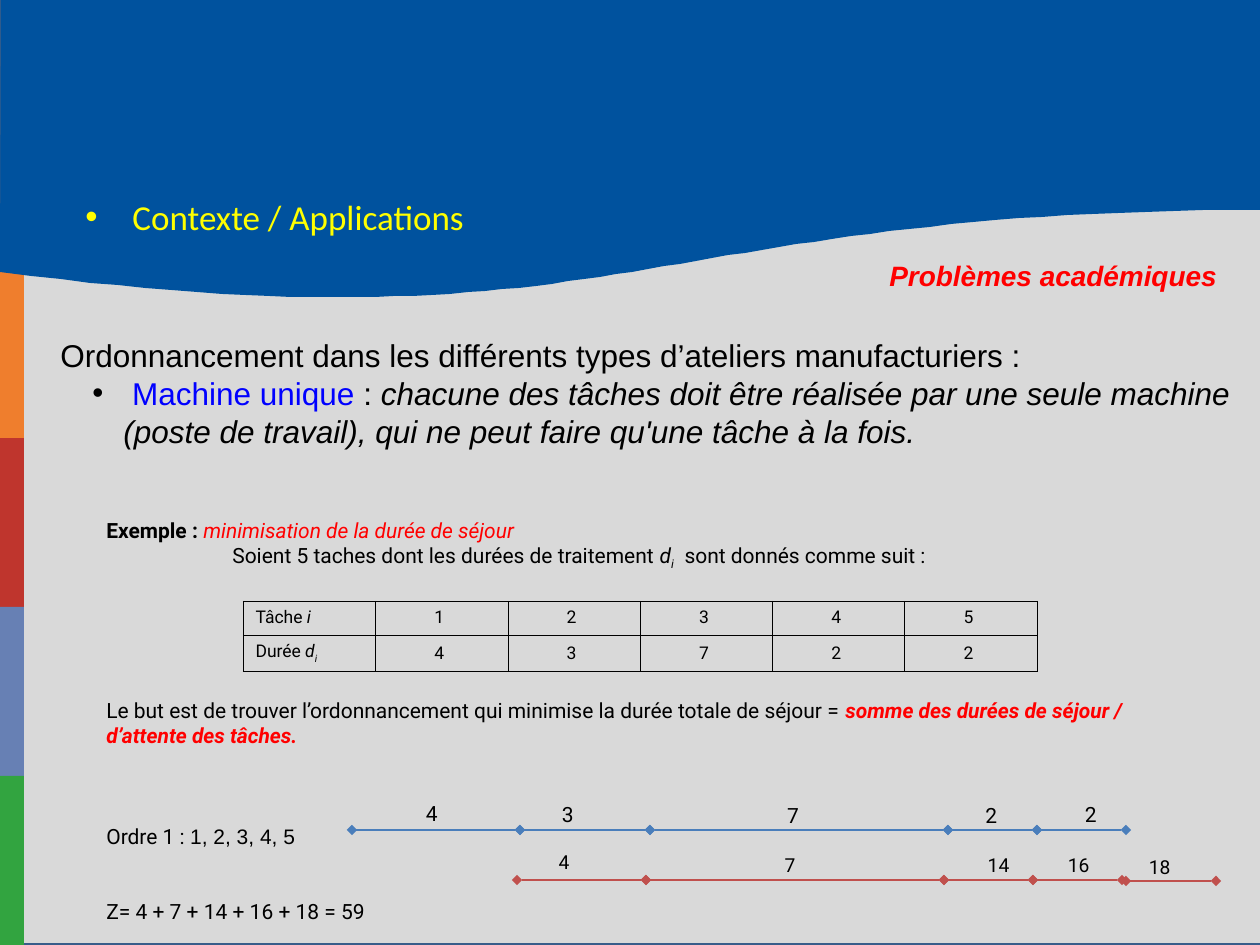
from lxml import etree
from pptx import Presentation
from pptx.dml.color import RGBColor
from pptx.enum.shapes import MSO_CONNECTOR, MSO_SHAPE
from pptx.enum.text import MSO_ANCHOR, PP_ALIGN
from pptx.oxml.ns import qn
from pptx.util import Emu, Pt

PX = 914400 / 126
RECT = MSO_SHAPE.RECTANGLE
STRAIGHT = MSO_CONNECTOR.STRAIGHT
LEFT, CENTER = PP_ALIGN.LEFT, PP_ALIGN.CENTER
MIDDLE = MSO_ANCHOR.MIDDLE

COLORS = {
    "grey": "D9D9D9", "frame": "385D8A", "navy": "00529E",
    "orange": "EF7E2D", "brick": "BF352D", "slate": "6780B4", "green": "32A440",
    "black": "000000", "yellow": "FFFF00", "red": "FF0000", "blue": "0000FF",
    "order": "4A7EBB", "stay": "C0504D",
}


def px(n):
    return Emu(round(n * PX))


def rgb(name):
    return RGBColor.from_string(COLORS[name])


def cubic(p0, p1, p2, p3, steps=60):
    """Points along a cubic Bezier curve, without its start."""
    points = []
    for k in range(1, steps + 1):
        t = k / steps
        u = 1 - t
        points.append(tuple(
            u**3 * a + 3 * u * u * t * b + 3 * u * t * t * c + t**3 * d
            for a, b, c, d in zip(p0, p1, p2, p3)))
    return points


class Deck:
    def __init__(self, slide, font="Roboto", size=12):
        self.slide, self.font, self.size = slide, font, size

    def finish(self, sp, fill, line=None):
        sp.shadow.inherit = False
        sp.fill.solid()
        sp.fill.fore_color.rgb = rgb(fill)
        if line:
            sp.line.color.rgb = rgb(line)
            sp.line.width = Pt(2)
        else:
            sp.line.fill.background()

    def rect(self, x, y, w, h, fill, line=None):
        sp = self.slide.shapes.add_shape(RECT, px(x), px(y), px(w), px(h))
        self.finish(sp, fill, line)

    def outline(self, points, fill):
        fb = self.slide.shapes.build_freeform(*points[0], scale=PX)
        fb.add_line_segments(points[1:], close=True)
        self.finish(fb.convert_to_shape(), fill)

    def runs(self, p, parts, size=None, font=None):
        """Add (text, style) parts; style keys: c, b, i, sub, font."""
        for text, style in parts:
            r = p.add_run()
            r.text = text
            f = r.font
            f.name = style.get("font", font or self.font)
            f.size = Pt(size or self.size)
            f.color.rgb = rgb(style.get("c", "black"))
            f.bold, f.italic = style.get("b", False), style.get("i", False)
            if style.get("sub"):
                f._element.set("baseline", "-25000")

    def indent(self, p, margin, hanging=0, bullet=None):
        pPr = p._p.get_or_add_pPr()
        pPr.set("marL", str(px(margin)))
        pPr.set("indent", str(px(-hanging)))
        if bullet:
            clr = etree.SubElement(pPr, qn("a:buClr"))
            etree.SubElement(clr, qn("a:srgbClr"), val=COLORS[bullet])
            etree.SubElement(pPr, qn("a:buFont"), typeface="Arial")
            etree.SubElement(pPr, qn("a:buChar"), char="•")

    def text(self, x, y, w, h, paragraphs, size=None, font=None, align=LEFT,
             spacing=None, before=0):
        """Each paragraph is (parts, indent arguments)."""
        tf = self.slide.shapes.add_textbox(px(x), px(y), px(w), px(h)).text_frame
        tf.word_wrap = True
        for k, (parts, indent) in enumerate(paragraphs):
            p = tf.add_paragraph() if k else tf.paragraphs[0]
            p.alignment = align
            p.space_before = Pt(before)
            if spacing:
                p.line_spacing = Pt(spacing)
            if indent:
                self.indent(p, *indent)
            self.runs(p, parts, size, font)

    def table(self, x, y, col_w, row_heights, rows, size):
        n = len(rows[0])
        tbl = self.slide.shapes.add_table(len(rows), n, px(x), px(y), px(n * col_w),
                                          px(sum(row_heights))).table
        tbl.first_row = tbl.horz_banding = False
        for col in tbl.columns:
            col.width = px(col_w)
        for row, h, cells in zip(tbl.rows, row_heights, rows):
            row.height = px(h)
            for k, (cell, parts) in enumerate(zip(row.cells, cells)):
                self.border(cell)
                cell.fill.background()
                cell.vertical_anchor = MIDDLE
                p = cell.text_frame.paragraphs[0]
                p.alignment = CENTER if k else LEFT
                self.runs(p, parts, size)

    def border(self, cell):
        tcPr = cell._tc.get_or_add_tcPr()
        for side in ("a:lnL", "a:lnR", "a:lnT", "a:lnB"):
            ln = etree.SubElement(tcPr, qn(side), w="1400")
            fill = etree.SubElement(ln, qn("a:solidFill"))
            etree.SubElement(fill, qn("a:srgbClr"), val=COLORS["black"])

    def segments(self, y, stops, color):
        """Diamond-ended lines between successive stops."""
        for x1, x2 in zip(stops, stops[1:]):
            cn = self.slide.shapes.add_connector(STRAIGHT, px(x1), px(y), px(x2), px(y))
            cn.line.color.rgb = rgb(color)
            cn.line.width = Pt(0.75)
            ln = cn.line._get_or_add_ln()
            for end in ("a:headEnd", "a:tailEnd"):
                etree.SubElement(ln, qn(end), type="diamond")
            etree.SubElement(cn._element.spPr, qn("a:effectLst"))

    def labels(self, items, size):
        for text, x, y, w in items:
            self.text(x, y, w, 37, [([(text + " ", {})], None)], size, align=CENTER)


def main():
    prs = Presentation()
    prs.slide_width, prs.slide_height = px(1260), px(945)
    d = Deck(prs.slides.add_slide(prs.slide_layouts[6]))

    d.rect(0, 0, 1264, 945, "grey", "frame")
    bar_h = 169
    bars = ("orange", "brick", "slate", "green")
    for k, color in enumerate(bars):
        d.rect(0, 945 - bar_h * (len(bars) - k), 24, bar_h, color)
    d.outline([(1, 0), (1263, 0), (1264, 210)]
              + cubic((1264, 210), (634, 210), (630, 354), (0, 272)), "navy")

    d.text(73, 189, 1113, 105,
           [([("Contexte / Applications", {"c": "yellow"})], (47, 47, "yellow"))],
           20, "Calibri", before=4)
    d.text(877, 252, 370, 47,
           [([("Problèmes académiques", {"c": "red", "b": True, "i": True})], None)],
           16, "Arial")
    d.text(48, 330, 1215, 126, [
        ([("Ordonnancement dans les différents types d’ateliers manufacturiers :", {})],
         None),
        ([(" ", {}), ("Machine unique ", {"c": "blue"}), (": ", {}),
          ("chacune des tâches doit être réalisée par une seule machine "
           "(poste de travail), qui ne peut faire qu'une tâche à la fois.", {"i": True})],
         (63, 31, "black")),
    ], 18, "Arial", spacing=21.6)

    var = [("d", {"i": True}), ("i", {"i": True, "sub": True})]
    body = [
        (511, [
            ([("Exemple : ", {"b": True}),
              ("minimisation de la durée de séjour", {"c": "red", "i": True})], None),
            ([("Soient 5 taches dont les durées de traitement ", {}), *var,
              ("  sont donnés comme suit :", {})], (126,)),
        ]),
        (691, [
            ([("Le but est de trouver l’ordonnancement qui minimise la durée totale "
               "de séjour = ", {}),
              ("somme des durées de séjour / d’attente des tâches.",
               {"c": "red", "b": True, "i": True})], None),
        ]),
        (817, [([("Ordre 1 : ", {}), ("1, 2, 3, 4, 5", {"font": "Arial"})], None)]),
        (892, [([("Z= 4 + 7 + 14 + 16 + 18 = 59", {})], None)]),
    ]
    for y, paragraphs in body:
        d.text(94, y, 1111, 13 + 25 * len(paragraphs), paragraphs)

    tasks = [[(f"{n} ", {})] for n in (1, 2, 3, 4, 5)]
    durations = [[(f"{n} ", {})] for n in (4, 3, 7, 2, 2)]
    d.table(243, 601, 132.3, (34, 36), [
        [[("Tâche ", {}), ("i", {"i": True})], *tasks],
        [[("Durée ", {}), *var], *durations],
    ], 10)

    d.segments(830, (352, 520, 650, 948, 1037, 1126), "order")
    d.labels([("4", 412, 794, 45), ("3", 547, 795, 47), ("7", 772, 796, 47),
              ("2", 971, 796, 46), ("2", 1070, 795, 47)], 12)
    d.segments(880, (517, 646, 944, 1033, 1122), "stay")
    d.segments(881, (1126, 1216), "stay")
    d.labels([("4", 543, 844, 47), ("7", 769, 847, 47), ("14", 968, 847, 66),
              ("16", 1027, 847, 108), ("18", 1108, 849, 108)], 11)

    prs.save("out.pptx")


if __name__ == "__main__":
    main()
